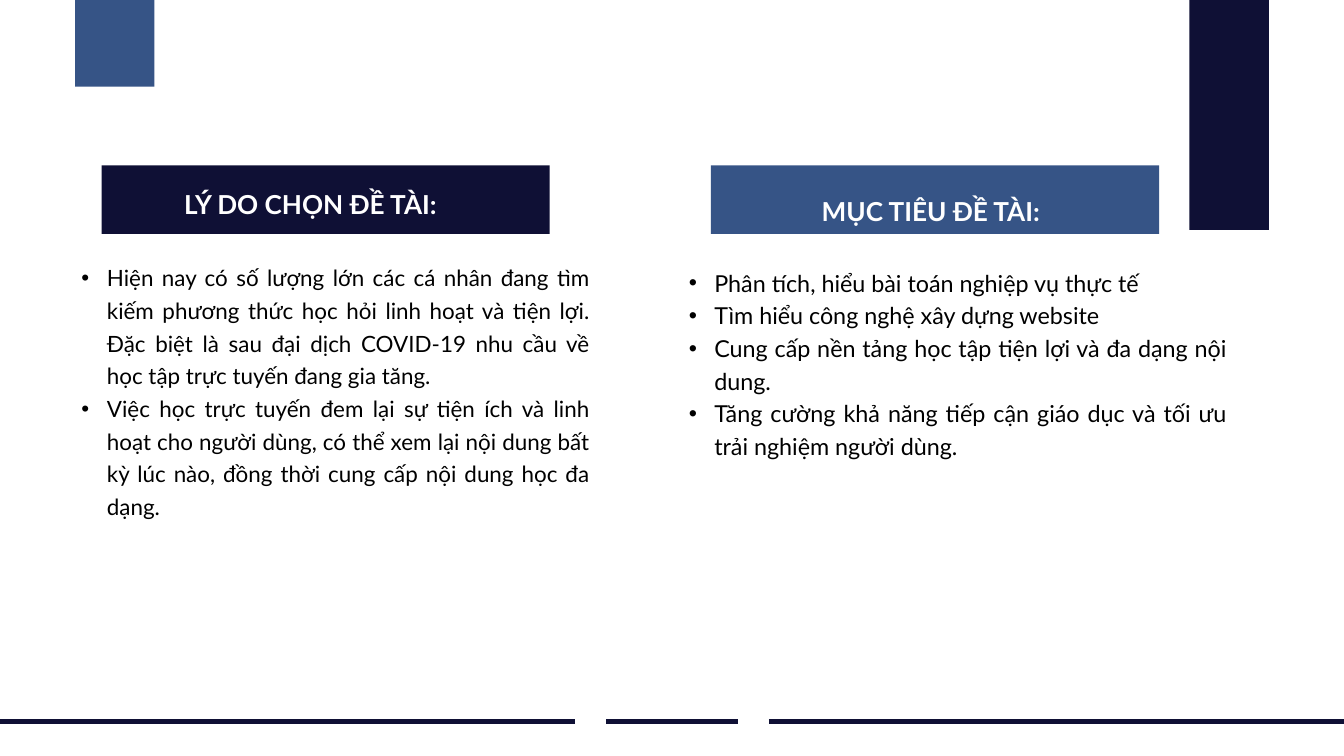
from dataclasses import dataclass

from lxml.etree import SubElement
from pptx import Presentation
from pptx.dml.color import RGBColor
from pptx.enum.shapes import MSO_CONNECTOR as Connector, MSO_SHAPE as Shape
from pptx.enum.text import MSO_ANCHOR as Anchor, MSO_AUTO_SIZE as AutoSize, PP_ALIGN as Align
from pptx.oxml.ns import qn
from pptx.util import Cm, Pt


@dataclass(frozen=True)
class Theme:
    navy: RGBColor = RGBColor(0x0F, 0x10, 0x35)
    blue: RGBColor = RGBColor(0x36, 0x54, 0x86)
    black: RGBColor = RGBColor(0, 0, 0)
    white: RGBColor = RGBColor(255, 255, 255)
    font: str = "Lato"
    heading_size: float = 28
    reasons_size: float = 24
    goals_size: float = 25
    list_spacing: float = 35
    rule_width: float = 6


THEME = Theme()
WIDTH, HEIGHT = 50.8, 28.58
HANGING = 0.96

REASONS = [
    "Hiện nay có số lượng lớn các cá nhân đang tìm kiếm phương thức học hỏi linh hoạt và tiện lợi. "
    "Đặc biệt là sau đại dịch COVID-19 nhu cầu về học tập trực tuyến đang gia tăng.",
    "Việc học trực tuyến đem lại sự tiện ích và linh hoạt cho người dùng, có thể xem lại nội dung "
    "bất kỳ lúc nào, đồng thời cung cấp nội dung học đa dạng.",
]
GOALS = [
    "Phân tích, hiểu bài toán nghiệp vụ thực tế",
    "Tìm hiểu công nghệ xây dựng website",
    "Cung cấp nền tảng học tập tiện lợi và đa dạng nội dung.",
    "Tăng cường khả năng tiếp cận giáo dục và tối ưu trải nghiệm người dùng.",
]


def add_block(slide, left, top, width, height, color):
    shape = slide.shapes.add_shape(Shape.RECTANGLE, Cm(left), Cm(top), Cm(width), Cm(height))
    shape.shadow.inherit = False
    shape.fill.solid()
    shape.fill.fore_color.rgb = color
    shape.line.fill.background()


def add_rule(slide, start, end, y):
    rule = slide.shapes.add_connector(Connector.STRAIGHT, Cm(start), Cm(y), Cm(end), Cm(y))
    rule.line.color.rgb = THEME.navy
    rule.line.width = Pt(THEME.rule_width)
    SubElement(rule._element.spPr, qn("a:effectLst"))


def add_footer_rules(slide, y=27.28, middle=4.98, gap=1.17):
    side = (WIDTH - middle) / 2 - gap
    add_rule(slide, 0, side, y)
    add_rule(slide, side + gap, WIDTH - side - gap, y)
    add_rule(slide, WIDTH - side, WIDTH, y)


def place(placeholder, left, top, width, height):
    placeholder.left, placeholder.top = Cm(left), Cm(top)
    placeholder.width, placeholder.height = Cm(width), Cm(height)
    placeholder.element.getparent().append(placeholder.element)
    frame = placeholder.text_frame
    frame.margin_left = frame.margin_top = frame.margin_right = frame.margin_bottom = 0
    frame.vertical_anchor = Anchor.TOP
    frame.word_wrap = True
    frame.auto_size = AutoSize.NONE
    return frame


def format_paragraph(paragraph, size, color, spacing, align, bold=False):
    paragraph.alignment = align
    paragraph.line_spacing = Pt(spacing)
    paragraph.space_before = Pt(0)
    font = paragraph.font
    font.name, font.size, font.bold = THEME.font, Pt(size), bold
    font.color.rgb = color


def set_bullet(paragraph, margin):
    properties = paragraph._p.get_or_add_pPr()
    properties.set("marL", str(Cm(margin)))
    properties.set("indent", str(-Cm(HANGING)))
    SubElement(properties, qn("a:buFont"), typeface="Arial")
    SubElement(properties, qn("a:buChar"), char="•")


def fill_heading(placeholder, box, text, spacing, align):
    frame = place(placeholder, *box)
    frame.text = text
    format_paragraph(frame.paragraphs[0], THEME.heading_size, THEME.white, spacing, align, bold=True)


def fill_list(placeholder, box, items, size, margin):
    frame = place(placeholder, *box)
    frame.text = "\n".join(items)
    for paragraph in frame.paragraphs:
        set_bullet(paragraph, margin)
        format_paragraph(paragraph, size, THEME.black, THEME.list_spacing, Align.JUSTIFY)


def main():
    presentation = Presentation()
    presentation.slide_width, presentation.slide_height = Cm(WIDTH), Cm(HEIGHT)
    slide = presentation.slides.add_slide(presentation.slide_layouts.get_by_name("Comparison"))
    title, reasons_heading, reasons, goals_heading, goals = slide.placeholders
    title.element.getparent().remove(title.element)

    add_block(slide, 44.96, 0, 3, 8.69, THEME.navy)
    add_block(slide, 2.84, 0, 3, 3.28, THEME.blue)
    add_footer_rules(slide)
    for left, color in ((3.84, THEME.navy), (26.87, THEME.blue)):
        add_block(slide, left, 6.25, 16.94, 2.59, color)

    fill_heading(reasons_heading, (6.96, 6.91, 10.69, 1.27), "LÝ DO CHỌN ĐỀ TÀI:", 39.2, Align.LEFT)
    fill_heading(goals_heading, (31.06, 6.02, 9.47, 2.13), "MỤC TIÊU ĐỀ TÀI:", 72, Align.JUSTIFY)
    fill_list(reasons, (2.34, 9.78, 19.94, 9.86), REASONS, THEME.reasons_size, 1.7)
    fill_list(goals, (26.04, 9.98, 20.32, 8.61), GOALS, THEME.goals_size, HANGING)

    presentation.save("out.pptx")


if __name__ == "__main__":
    main()
